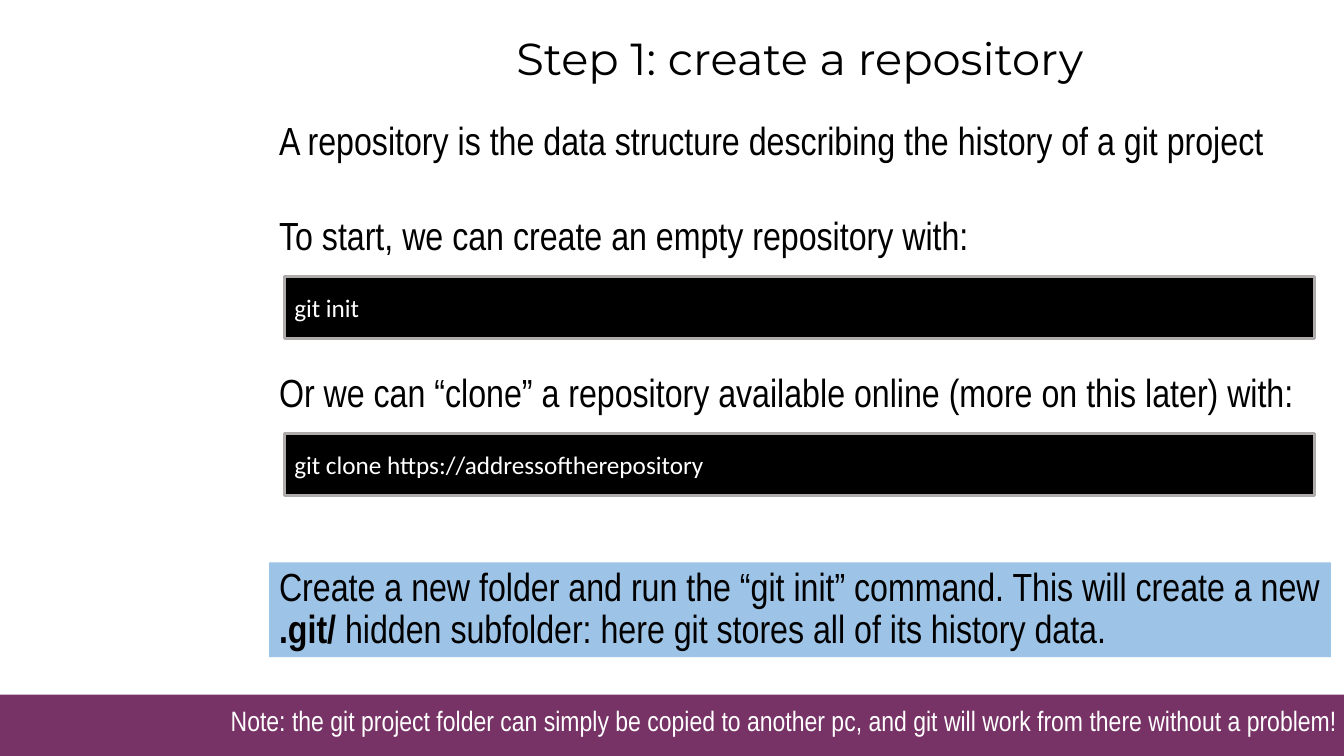
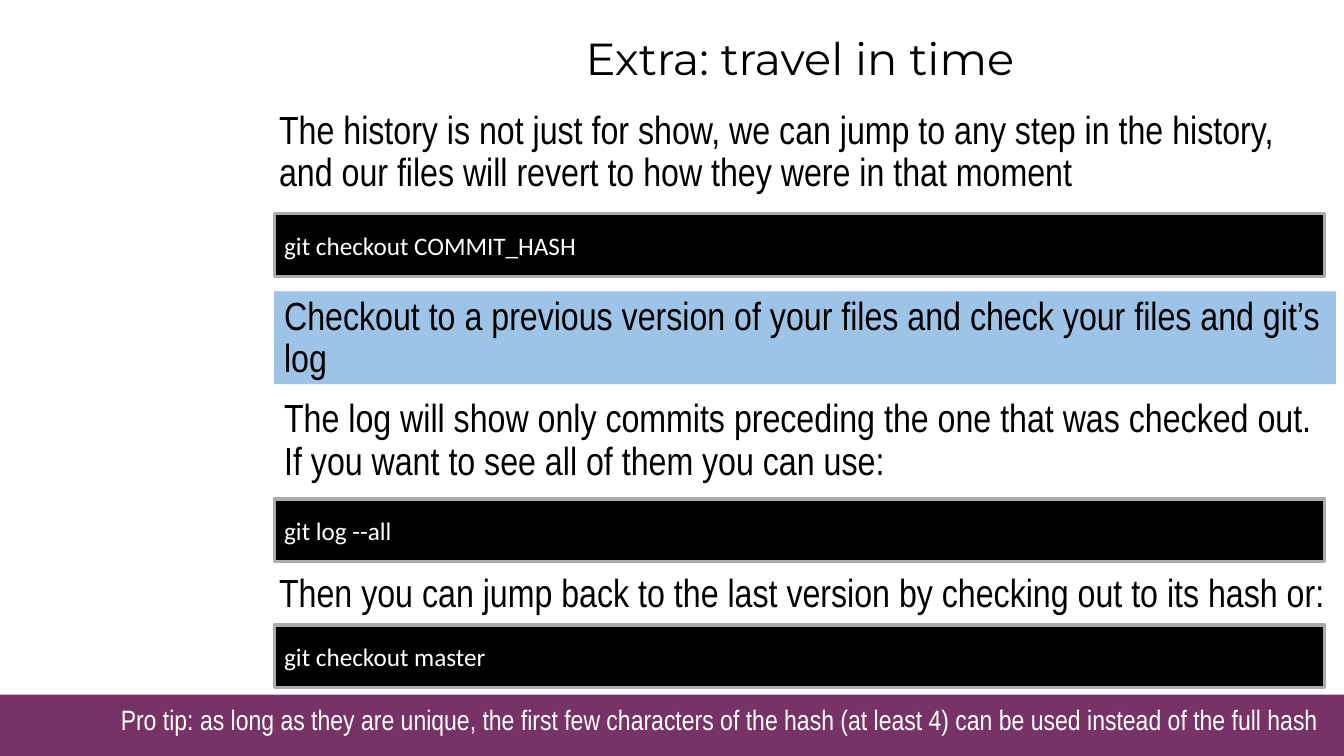
from pptx import Presentation
from pptx.dml.color import RGBColor
from pptx.enum.shapes import MSO_SHAPE
from pptx.enum.text import MSO_ANCHOR, PP_ALIGN
from pptx.util import Inches, Pt

RECT = MSO_SHAPE.RECTANGLE
TOP, MIDDLE = MSO_ANCHOR.TOP, MSO_ANCHOR.MIDDLE
LEFT, CENTER = PP_ALIGN.LEFT, PP_ALIGN.CENTER

COLORS = {
    "band": "773266",
    "black": "000000",
    "white": "FFFFFF",
    "edge": "AFABAB",
    "task": "9DC3E6",
}
WIDE, HIGH = 13.33, 7.5
BAND = 6.89
MARGIN, SPAN = 2.67, 10.53
BAR = 0.62


def color(name):
    return RGBColor.from_string(COLORS[name])


def fill(shape, name):
    shape.fill.solid()
    shape.fill.fore_color.rgb = color(name)


def add_rect(slide, x, y, w, h, name):
    shape = slide.shapes.add_shape(
        RECT, Inches(x), Inches(y), Inches(w), Inches(h))
    shape.shadow.inherit = False
    fill(shape, name)
    shape.line.fill.background()
    return shape


def write(shape, parts, font, size, ink, anchor=TOP, align=LEFT, lines=None):
    frame = shape.text_frame
    frame.word_wrap = True
    frame.vertical_anchor = anchor
    para = frame.paragraphs[0]
    para.alignment = align
    para.line_spacing = lines
    for text, bold in parts:
        run = para.add_run()
        run.text = text
        run.font.name = font
        run.font.size = Pt(size)
        run.font.bold = bold
        run.font.color.rgb = color(ink)


def add_box(slide, x, y, w, h):
    return slide.shapes.add_textbox(
        Inches(x), Inches(y), Inches(w), Inches(h))


def add_title(slide, text):
    box = add_box(slide, MARGIN, 0.14, SPAN, 0.92)
    write(box, [(text, False)], "Montserrat", 32, "black",
          MIDDLE, CENTER, 0.9)


def add_body(slide, text, y, h, x=MARGIN, w=SPAN):
    box = add_box(slide, x, y, w, h)
    write(box, [(text, False)], "Arial Narrow", 28, "black", lines=0.9)


def add_task(slide, parts, x, y, h):
    shape = add_rect(slide, x, y, SPAN, h, "task")
    write(shape, parts, "Arial Narrow", 28, "black", lines=0.9)


def add_code(slide, text, x, y, w):
    bar = add_rect(slide, x, y, w, BAR, "black")
    bar.line.color.rgb = color("edge")
    bar.line.width = Pt(2.25)
    write(bar, [(text, False)], "Calibri", 18, "white", MIDDLE)


def add_note(slide, text, x, y):
    box = add_box(slide, x, y, WIDE - x, 0.44)
    box.text_frame.margin_right = 0
    write(box, [(text, False)], "Arial Narrow", 20, "white")


def add_slide(deck, title):
    slide = deck.slides.add_slide(deck.slide_layouts[6])
    add_rect(slide, 0, BAND, WIDE, HIGH - BAND, "band")
    add_title(slide, title)
    return slide


def add_start(deck):
    slide = add_slide(deck, "Step 1: create a repository")
    for text, y in [
        ("A repository is the data structure describing the history of a git project", 1.16),
        ("To start, we can create an empty repository with:", 2.1),
        ("Or we can “clone” a repository available online (more on this later) with:", 3.66),
    ]:
        add_body(slide, text, y, 0.52)
    for text, y in [
        ("git init", 2.74),
        ("git clone https://addressoftherepository", 4.3),
    ]:
        add_code(slide, text, 2.82, y, 10.22)
    add_task(slide, [
        ("Create a new folder and run the “git init” command. This will create a new ", False),
        (".git/ ", True),
        ("hidden subfolder: here git stores all of its history data.", False),
    ], MARGIN, 5.58, 0.94)
    add_note(slide, "Note: the git project folder can simply be copied to another pc, "
             "and git will work from there without a problem!", 2.19, 6.93)


def add_travel(deck):
    slide = add_slide(deck, "Extra: travel in time")
    inset = 2.72
    add_body(slide, "The history is not just for show, we can jump to any step in the "
             "history, and our files will revert to how they were in that moment", 1.05, 1)
    add_task(slide, [
        ("Checkout to a previous version of your files and check your files and git’s log", False),
    ], inset, 2.89, 0.92)
    add_body(slide, "The log will show only commits preceding the one that was checked "
             "out. If you want to see all of them you can use:", 3.91, 1, inset)
    add_body(slide, "Then you can jump back to the last version by checking out to its "
             "hash or:", 5.64, 0.56, w=10.58)
    for text, y in [
        ("git checkout COMMIT_HASH", 2.12),
        ("git log --all", 4.95),
        ("git checkout master", 6.2),
    ]:
        add_code(slide, text, inset, y, 10.42)
    add_note(slide, "Pro tip: as long as they are unique, the first few characters of the "
             "hash (at least 4) can be used instead of the full hash", 1.1, 6.92)


def main():
    deck = Presentation()
    deck.slide_width = Inches(WIDE)
    deck.slide_height = Inches(HIGH)
    add_start(deck)
    add_travel(deck)
    deck.save("out.pptx")


if __name__ == "__main__":
    main()
